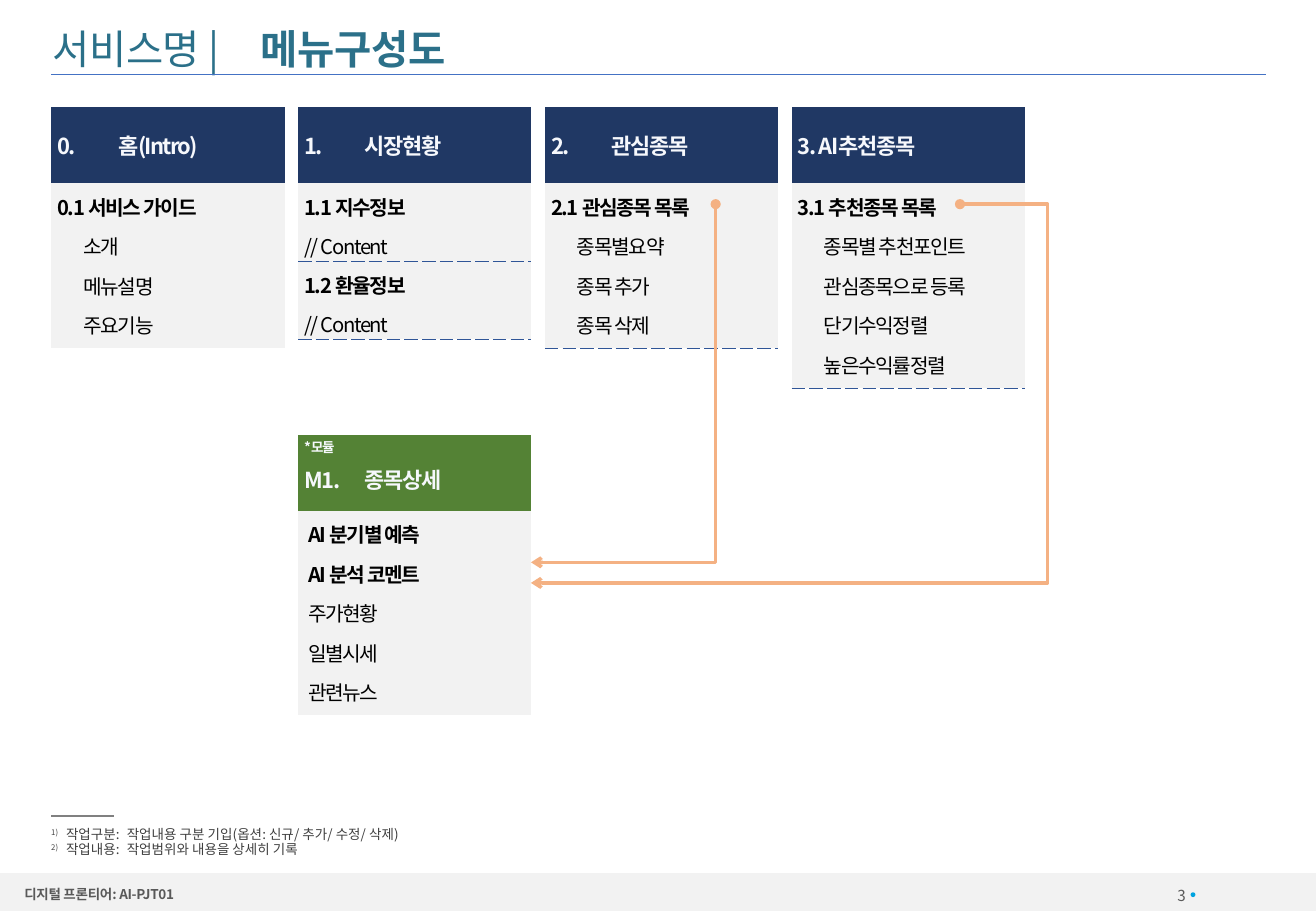
from dataclasses import dataclass

import lxml.etree
import pptx
import pptx.dml.color
import pptx.enum.shapes
import pptx.enum.text
import pptx.oxml.ns
import pptx.util

Cm = pptx.util.Cm
Pt = pptx.util.Pt
SHAPE = pptx.enum.shapes.MSO_SHAPE
CONNECTOR = pptx.enum.shapes.MSO_CONNECTOR
ALIGN = pptx.enum.text.PP_ALIGN
ANCHOR = pptx.enum.text.MSO_ANCHOR

FONT = "Noto Sans CJK KR"
NO_TABLE_STYLE = "{2D5ABB26-0587-4C30-8999-92F81FD0307C}"
COLORS = {
    "title": "2B7089", "rule": "4472C4", "menu": "203864", "module": "548235",
    "panel": "F2F2F2", "header_text": "F6F8FC", "item_text": "000000",
    "dash": "2F5597", "flow": "F4B183", "note": "404040", "note_rule": "808080",
    "footer_text": "595959", "dot": "00A3DF",
}
LEFT, COLUMN_STEP, COLUMN_WIDTH = 1.07, 5.16, 4.88
MENU_TOP, MODULE_TOP = 2.24, 9.09
HEADER_HEIGHT, SECTION_HEIGHT = 1.59, 1.63
ITEM_INDENT = 0.54


@dataclass
class Section:
    heads: list[str]
    items: list[str]
    indent: float = ITEM_INDENT
    head_indent: float = 0
    dashed: str = ""
    bottom_inset: float = 0.18


@dataclass
class Menu:
    column: int
    header: str
    sections: list[Section]
    tab: float = 0.67
    spacing: float = -0.8
    top: float = MENU_TOP
    fill: str = "menu"
    tag: str = ""


@dataclass
class Flow:
    start: tuple[float, float]
    end: tuple[float, float]
    detour: float = 0  # share of the width, 0 for a single bend


MENUS = [
    Menu(0, "0.\t홈(Intro)",
         [Section(["0.1 서비스 가이드"], ["소개", "메뉴설명", "주요기능"])], spacing=-1),
    Menu(1, "1.\t시장현황", [
        Section(["1.1 지수정보"], ["// Content"], 0, dashed="B", bottom_inset=0),
        Section(["1.2 환율정보"], ["// Content"], 0, dashed="TB", bottom_inset=0)]),
    Menu(2, "2.\t관심종목",
         [Section(["2.1 관심종목 목록"], ["종목별요약", "종목 추가", "종목 삭제"], dashed="B")]),
    Menu(3, "3. AI추천종목",
         [Section(["3.1 추천종목 목록"],
                  ["종목별 추천포인트", "관심종목으로 등록", "단기수익정렬", "높은수익률정렬"],
                  dashed="B")]),
    Menu(1, "M1.\t종목상세",
         [Section(["AI 분기별 예측", "AI 분석 코멘트"], ["주가현황", "일별시세", "관련뉴스"],
                  0.08, 0.08)],
         tab=1.03, top=MODULE_TOP, fill="module", tag="*모듈"),
]
FLOWS = [
    Flow((14.96, 4.27), (11.1, 11.76)),
    Flow((20.07, 4.27), (11.1, 12.19), detour=-0.204),
]
NOTES = [
    ("1)", "작업구분:\t작업내용 구분 기입(옵션: 신규/ 추가/ 수정/ 삭제)"),
    ("2)", "작업내용:\t작업범위와 내용을 상세히 기록"),
]


def rgb(name: str):
    return pptx.dml.color.RGBColor.from_string(COLORS[name])


def add_xml(parent, tag: str, **attributes: str):
    return lxml.etree.SubElement(parent, pptx.oxml.ns.qn(tag), attributes)


def add_run(para, text: str, size: float, color: str, bold: bool = False,
            spacing: float = 0, raised: int = 0) -> None:
    span = para.add_run()
    span.text = text
    span.font.size, span.font.bold, span.font.name = Pt(size), bold, FONT
    span.font.color.rgb = rgb(color)
    properties = span.font._element
    properties.set("spc", str(round(spacing * 100)))
    if raised:
        properties.set("baseline", str(raised * 1000))
    add_xml(properties, "a:ea", typeface=FONT)


def set_indent(para, margin: float, first: float = 0) -> None:
    properties = para._p.get_or_add_pPr()
    properties.set("marL", str(Cm(margin)))
    properties.set("indent", str(Cm(first)))


def set_tabs(para, *stops: float) -> None:
    tabs = add_xml(para._p.get_or_add_pPr(), "a:tabLst")
    for stop in stops:
        add_xml(tabs, "a:tab", pos=str(Cm(stop)), algn="l")


def next_para(frame):
    first = frame.paragraphs[0]
    return frame.add_paragraph() if first.runs else first


def clear_insets(frame) -> None:
    frame.margin_left = frame.margin_right = frame.margin_top = frame.margin_bottom = 0
    frame.word_wrap = True
    frame.auto_size = pptx.enum.text.MSO_AUTO_SIZE.NONE


def place(box, left: float, top: float, width: float, height: float) -> None:
    box.left, box.top, box.width, box.height = Cm(left), Cm(top), Cm(width), Cm(height)


def add_shape(page, kind, left: float, top: float, width: float, height: float,
              color: str) -> None:
    shape = page.shapes.add_shape(kind, Cm(left), Cm(top), Cm(width), Cm(height))
    shape.shadow.inherit = False
    shape.fill.solid()
    shape.fill.fore_color.rgb = rgb(color)
    shape.line.fill.background()


def add_line(page, kind, start: tuple[float, float], end: tuple[float, float],
             color: str, weight: float):
    line = page.shapes.add_connector(kind, *map(Cm, start + end))
    line.line.color.rgb = rgb(color)
    line.line.width = Pt(weight)
    add_xml(line._element.spPr, "a:effectLst")
    return line


def add_label(page, left: float, top: float, width: float, height: float, text: str,
              size: float, align, bold: bool = False, spacing: float = 0) -> None:
    frame = page.shapes.add_textbox(Cm(left), Cm(top), Cm(width), Cm(height)).text_frame
    clear_insets(frame)
    frame.vertical_anchor = ANCHOR.MIDDLE
    frame.paragraphs[0].alignment = align
    add_run(frame.paragraphs[0], text, size, "footer_text", bold, spacing)


def format_cell(cell, color: str, top_inset: float, bottom_inset: float, dashed: str = "") -> None:
    cell.margin_left = cell.margin_right = Cm(0.13)
    cell.margin_top, cell.margin_bottom = Cm(top_inset), Cm(bottom_inset)
    properties = cell._tc.get_or_add_tcPr()
    for side in dashed:
        border = add_xml(properties, f"a:ln{side}", w=str(Pt(0.25)))
        add_xml(add_xml(border, "a:solidFill"), "a:srgbClr", val=COLORS["dash"])
        add_xml(border, "a:prstDash", val="dash")
    cell.fill.solid()
    cell.fill.fore_color.rgb = rgb(color)


def add_cell_line(cell, text: str, size: float, color: str, bold: bool,
                  spacing: float, indent: float = 0):
    para = next_para(cell.text_frame)
    para.space_before = para.space_after = Pt(3)
    set_indent(para, indent)
    add_run(para, text, size, color, bold, spacing)
    return para


def add_menu(page, menu: Menu) -> None:
    count = len(menu.sections)
    table = page.shapes.add_table(
        count + 1, 1, Cm(LEFT + menu.column * COLUMN_STEP), Cm(menu.top),
        Cm(COLUMN_WIDTH), Cm(HEADER_HEIGHT + count * SECTION_HEIGHT)).table
    table.first_row = table.horz_banding = False
    table._tbl.tblPr.find(pptx.oxml.ns.qn("a:tableStyleId")).text = NO_TABLE_STYLE
    table.rows[0].height = Cm(HEADER_HEIGHT)

    header = table.cell(0, 0)
    format_cell(header, menu.fill, 0.23, 0.23)
    header.vertical_anchor = ANCHOR.MIDDLE
    if menu.tag:
        add_cell_line(header, menu.tag, 8, "header_text", True, -0.8).line_spacing = 0.1
    set_tabs(add_cell_line(header, menu.header, 13, "header_text", True, menu.spacing), menu.tab)

    for row, section in enumerate(menu.sections, 1):
        table.rows[row].height = Cm(SECTION_HEIGHT)
        cell = table.cell(row, 0)
        format_cell(cell, "panel", 0.18, section.bottom_inset, section.dashed)
        for head in section.heads:
            add_cell_line(cell, head, 12, "item_text", True, -0.8, section.head_indent)
        for item in section.items:
            add_cell_line(cell, item, 12, "item_text", False, -0.8, section.indent)


def add_flow(page, flow: Flow) -> None:
    arrow = add_line(page, CONNECTOR.ELBOW, flow.start, flow.end, "flow", 2)
    outline = arrow.line._get_or_add_ln()
    add_xml(outline, "a:headEnd", type="oval")
    add_xml(outline, "a:tailEnd", type="arrow")
    geometry = arrow._element.spPr.find(pptx.oxml.ns.qn("a:prstGeom"))
    if flow.detour:
        guides = geometry.get_or_add_avLst()
        add_xml(guides, "a:gd", name="adj1", fmla=f"val {round(flow.detour * 100000)}")
        return
    # Single bend: down first, then left, as a quarter-turned elbow
    (x1, y1), (x2, y2) = flow.start, flow.end
    run, drop = x1 - x2, y2 - y1
    geometry.set("prst", "bentConnector2")
    place(arrow, (x1 + x2 - drop) / 2, (y1 + y2 - run) / 2, drop, run)
    transform = arrow._element.spPr.find(pptx.oxml.ns.qn("a:xfrm"))
    transform.attrib.pop("flipH", None)
    transform.set("rot", "5400000")


def main() -> None:
    deck = pptx.Presentation()
    deck.slide_width, deck.slide_height = Cm(27.51), Cm(19.05)
    page = deck.slides.add_slide(deck.slide_layouts[1])

    # Title
    title = page.shapes.title
    place(title, 1.09, 0.46, 25.37, 1.12)
    clear_insets(title.text_frame)
    title.text_frame.vertical_anchor = ANCHOR.MIDDLE
    para = title.text_frame.paragraphs[0]
    para.alignment = ALIGN.LEFT
    set_tabs(para, 4.35)
    add_run(para, "서비스명 |\t", 24, "title", spacing=-0.2)
    add_run(para, "메뉴구성도", 24, "title", True, -0.2)
    add_line(page, CONNECTOR.STRAIGHT, (LEFT, 1.55), (26.47, 1.55), "rule", 0.5)

    # Footnotes
    notes = page.placeholders[1]
    place(notes, LEFT, 17.32, 25.4, 0.81)
    clear_insets(notes.text_frame)
    for mark, text in NOTES:
        para = next_para(notes.text_frame)
        para.alignment, para.line_spacing, para.space_before = ALIGN.LEFT, 0.9, Pt(0)
        set_indent(para, 0.31, -0.31)
        add_xml(para._p.get_or_add_pPr(), "a:buNone")
        set_tabs(para, 0.31, 1.69)
        add_run(para, mark + "\t", 8, "note", raised=30)
        add_run(para, text, 8, "note")
    add_line(page, CONNECTOR.STRAIGHT, (LEFT, 17.07), (2.39, 17.07), "note_rule", 1)

    # Footer
    add_shape(page, SHAPE.RECTANGLE, 0, 18.26, 27.51, 0.79, "panel")
    add_shape(page, SHAPE.OVAL, 24.89, 18.66, 0.1, 0.1, "dot")
    add_label(page, 23.01, 18.47, 1.78, 0.5, "3", 9, ALIGN.RIGHT)
    add_label(page, 0.51, 18.47, 10.77, 0.44, "디지털 프론티어: AI-PJT01", 8, ALIGN.LEFT, True, -0.2)

    # Menu columns, module and the flows into it
    for menu in MENUS:
        add_menu(page, menu)
    for flow in FLOWS:
        add_flow(page, flow)

    deck.save("out.pptx")


if __name__ == "__main__":
    main()
